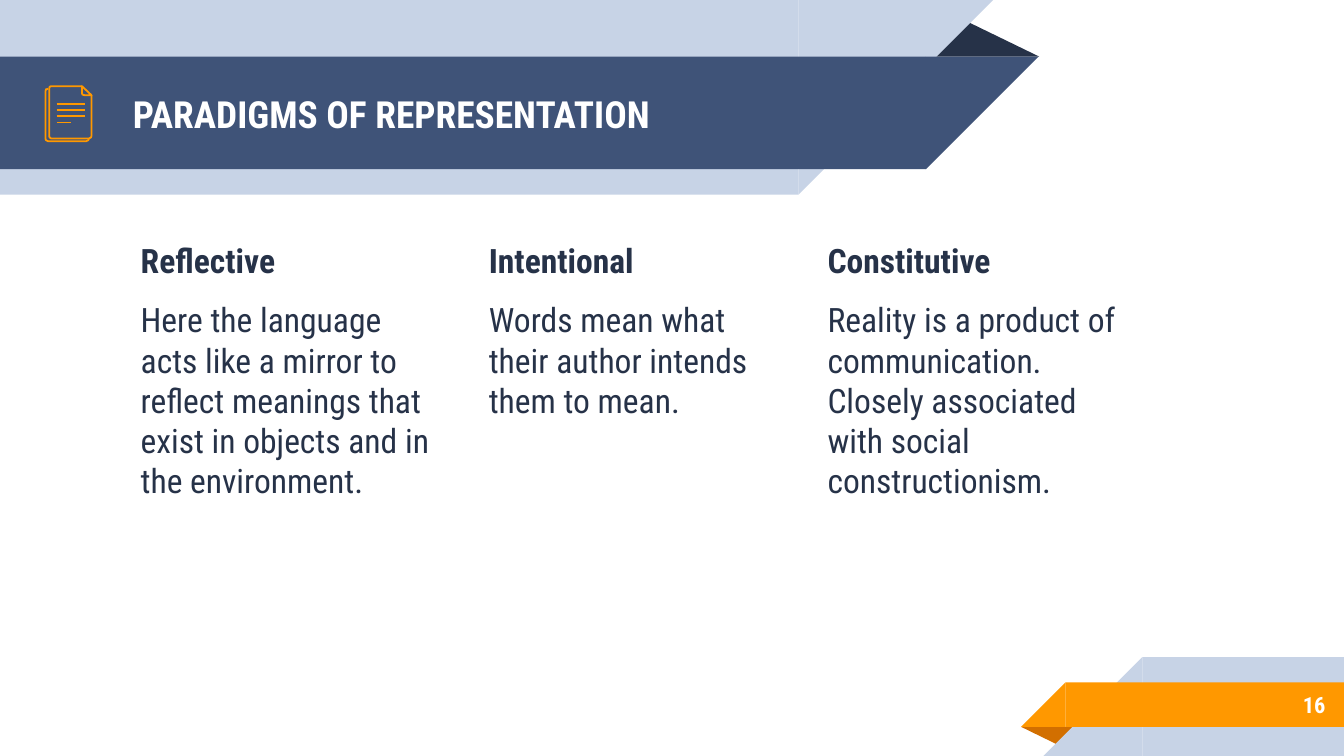
from dataclasses import dataclass

import pptx
import pptx.dml.color
import pptx.enum.shapes
import pptx.enum.text
import pptx.oxml.ns
import pptx.util
from lxml import etree

Cm, Pt = pptx.util.Cm, pptx.util.Pt
SHAPE = pptx.enum.shapes.MSO_SHAPE
ALIGN = pptx.enum.text.PP_ALIGN
ANCHOR = pptx.enum.text.MSO_ANCHOR

FONT = "Roboto Condensed"
INK, NAVY, PALE = "263248", "3F5378", "C7D3E6"
ORANGE, RUST, WHITE = "FF9800", "D26F00", "FFFFFF"
ICON_LINE = Pt(0.96)


@dataclass
class Band:
    """A bar with a 45 degree end: on the right in the header, on the left in the footer."""
    left: float
    top: float
    width: float
    height: float
    colour: str
    header: bool


@dataclass
class Column:
    left: float
    heading: str
    body: str


HEADER = [
    Band(0, 0, 15.09, 3.68, PALE, True),
    Band(0, 1.07, 17.5, 2.13, NAVY, True),
]
FOOTER = [
    Band(21.59, 12.42, 3.81, 1.87, PALE, False),
    Band(20.14, 12.9, 5.26, 0.84, ORANGE, False),
]
COLUMNS = [
    Column(2.41, "Reflective",
           "Here the language acts like a mirror to reflect meanings that "
           "exist in objects and in the environment."),
    Column(8.99, "Intentional",
           "Words mean what their author intends them to mean."),
    Column(15.39, "Constitutive",
           "Reality is a product of communication. Closely associated with "
           "social constructionism."),
]
BACK_PAGE = [(1.68, 2.62), (1.67, 2.65), (1.63, 2.67), (0.91, 2.67), (0.87, 2.65),
             (0.86, 2.62), (0.86, 1.73), (0.87, 1.69), (0.91, 1.68)]
FRONT_PAGE = [(1.73, 1.8), (1.73, 2.57), (1.72, 2.6), (1.68, 2.62), (0.97, 2.62),
              (0.94, 2.6), (0.93, 2.57), (0.93, 1.68), (0.94, 1.64), (0.97, 1.63),
              (1.55, 1.63)]
FOLD = [(1.55, 1.63), (1.73, 1.8), (1.6, 1.8), (1.56, 1.79), (1.55, 1.76)]


def rgb(colour: str):
    return pptx.dml.color.RGBColor.from_string(colour)


def add_solid(s, kind, left: float, top: float, width: float, height: float, colour: str):
    sp = s.shapes.add_shape(kind, Cm(left), Cm(top), Cm(width), Cm(height))
    sp.shadow.inherit = False
    sp.fill.solid()
    sp.fill.fore_color.rgb = rgb(colour)
    sp.line.fill.background()
    return sp


def add_fold(s, left: float, top: float, width: float, height: float, colour: str):
    sp = add_solid(s, SHAPE.ISOSCELES_TRIANGLE, left, top, width, height, colour)
    sp.adjustments[0] = 0.324
    return sp


def add_band(s, band: Band) -> None:
    add_solid(s, SHAPE.RECTANGLE, band.left, band.top, band.width, band.height, band.colour)
    end = band.left + band.width if band.header else band.left - band.height
    sp = add_solid(s, SHAPE.RIGHT_TRIANGLE, end, band.top, band.height, band.height, band.colour)
    sp._element.spPr.xfrm.set("flipH", "1")
    sp.rotation = 180 if band.header else 0


def add_text(s, left: float, top: float, width: float, height: float, anchor=ANCHOR.TOP):
    tf = s.shapes.add_textbox(Cm(left), Cm(top), Cm(width), Cm(height)).text_frame
    tf.word_wrap = True
    tf.vertical_anchor = anchor
    tf.margin_left = tf.margin_right = tf.margin_top = tf.margin_bottom = Cm(0.25)
    return tf


def write(p, text: str, size: float, colour: str, bold: bool = True) -> None:
    p.text = text
    p.font.name = FONT
    p.font.size = Pt(size)
    p.font.bold = bold
    p.font.color.rgb = rgb(colour)


def add_column(s, column: Column) -> None:
    tf = add_text(s, column.left, 4.29, 6.25, 7.52)
    write(tf.paragraphs[0], column.heading, 18, INK)
    p = tf.add_paragraph()
    p.space_before = Pt(10)
    write(p, column.body, 18, INK, bold=False)


def add_outline(s, points: list[tuple[float, float]], close: bool = False) -> None:
    start, *rest = [(Cm(x), Cm(y)) for x, y in points]
    builder = s.shapes.build_freeform(*start)
    builder.add_line_segments(rest, close=close)
    sp = builder.convert_to_shape()
    sp.shadow.inherit = False
    sp.fill.background()
    sp.line.color.rgb = rgb(ORANGE)
    sp.line.width = ICON_LINE


def add_rule(s, left: float, right: float, y: float) -> None:
    line = s.shapes.add_connector(pptx.enum.shapes.MSO_CONNECTOR.STRAIGHT,
                                  Cm(left), Cm(y), Cm(right), Cm(y))
    line.line.color.rgb = rgb(ORANGE)
    line.line.width = ICON_LINE
    etree.SubElement(line._element.spPr, pptx.oxml.ns.qn("a:effectLst"))


def add_page_icon(s) -> None:
    add_outline(s, BACK_PAGE)
    add_outline(s, FRONT_PAGE)
    for i, right in enumerate([1.6, 1.6, 1.6, 1.35]):
        add_rule(s, 1.07, right, 1.97 + 0.115 * i)
    add_outline(s, FOLD, close=True)


def main() -> None:
    prs = pptx.Presentation()
    prs.slide_width, prs.slide_height = Cm(25.4), Cm(14.29)
    s = prs.slides.add_slide(prs.slide_layouts[6])

    add_fold(s, 17.48, 0.36, 2.16, 0.71, INK)
    for band in HEADER:
        add_band(s, band)
    add_fold(s, 19.3, 13.74, 1.09, 0.36, RUST).rotation = 180
    for band in FOOTER:
        add_band(s, band)

    title = add_text(s, 2.26, 1.09, 14.61, 2.13, ANCHOR.MIDDLE)
    write(title.paragraphs[0], "PARADIGMS OF REPRESENTATION", 20, WHITE)
    for column in COLUMNS:
        add_column(s, column)
    number = add_text(s, 21.16, 12.88, 4.14, 0.89, ANCHOR.MIDDLE)
    number.paragraphs[0].alignment = ALIGN.RIGHT
    write(number.paragraphs[0], "16", 12, WHITE)
    add_page_icon(s)

    prs.save("out.pptx")


if __name__ == "__main__":
    main()
